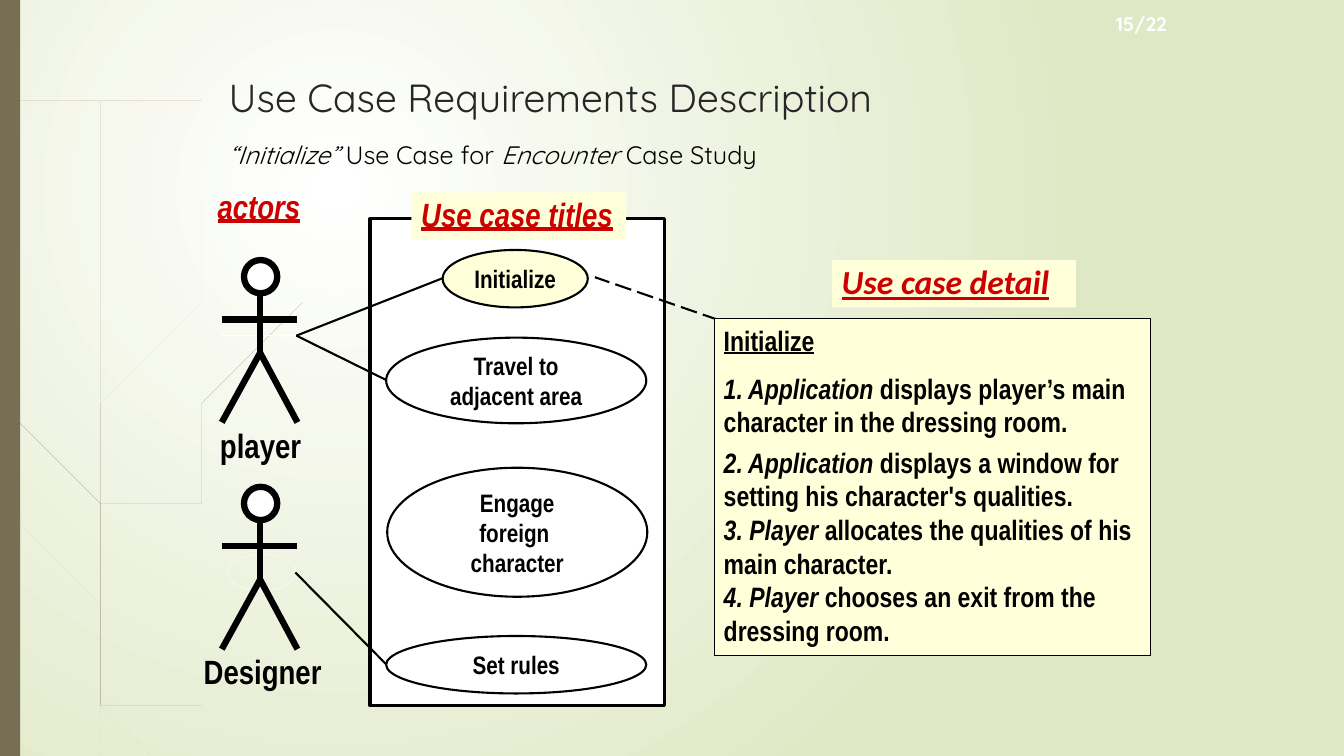
from dataclasses import dataclass
from math import hypot
from typing import NamedTuple

from lxml.etree import SubElement
from pptx import Presentation
from pptx.dml.color import RGBColor
from pptx.enum.dml import MSO_LINE
from pptx.enum.shapes import MSO_CONNECTOR, MSO_SHAPE
from pptx.enum.text import MSO_ANCHOR, MSO_AUTO_SIZE, PP_ALIGN
from pptx.oxml.ns import qn
from pptx.util import Inches, Pt

Point = tuple[float, float]


@dataclass(frozen=True)
class Theme:
    white: str = "FFFFFF"
    black: str = "000000"
    meadow: str = "DFE8C4"
    olive: str = "766F54"
    rust: str = "A53010"
    cream: str = "FFFFD9"
    red: str = "CC0000"
    charcoal: str = "262626"
    display: str = "Quicksand"
    narrow: str = "Arial Narrow"
    rounded: str = "Calibri"
    title: int = 28
    heading: int = 24
    detail: int = 20
    body: int = 18
    number: int = 14


THEME = Theme()


class Run(NamedTuple):
    text: str
    italic: bool = False


class Box(NamedTuple):
    left: float
    top: float
    width: float
    height: float


@dataclass(frozen=True)
class Style:
    size: int = THEME.body
    font: str = THEME.narrow
    color: str = THEME.black
    bold: bool = True
    italic: bool | None = None
    underline: bool | None = None
    align: PP_ALIGN = PP_ALIGN.LEFT
    spacing: float | None = None


@dataclass(frozen=True)
class UseCase:
    box: Box
    lines: tuple[str, ...]
    fill: str = THEME.white
    inset: float = 0
    wrap: bool = True


@dataclass(frozen=True)
class Heading:
    text: str
    box: Box
    font: str = THEME.narrow
    fill: str | None = THEME.cream
    insets: tuple[float, float, float, float] = (0.1, 0.25, 0.1, 0.05)


CENTERED = Style(align=PP_ALIGN.CENTER)
ACTOR_NAME = Style(THEME.heading, align=PP_ALIGN.CENTER)

PALE_WISPS: list[list[Point]] = [
    [(0.58, 5.22), (0.84, 5.99), (0.85, 5.86), (0.62, 5.2), (0.14, 3.45), (0.17, 3.76)],
    [(0.92, 6.07), (0.88, 5.96), (0.88, 6.1), (1.23, 6.94), (1.5, 7.51), (1.55, 7.51), (1.27, 6.92)],
    [(0.93, 6.83), (0.7, 6.19), (0.31, 4.69), (0, 2.82), (0, 2.99), (0.28, 4.7),
     (0.65, 6.21), (0.92, 6.93), (1.14, 7.51), (1.24, 7.51)],
    [(0.88, 5.84), (1.1, 4.62), (1.6, 3.49), (2.29, 2.45), (3.12, 1.54), (3.12, 1.53),
     (2.28, 2.44), (1.58, 3.48), (1.07, 4.61), (0.85, 5.84), (0.87, 6.46), (0.96, 6.92),
     (1.05, 7.11), (0.91, 6.46)],
]
DARK_WISPS: list[list[Point]] = [
    [(0.07, 1.1), (0.17, 2.33), (0.33, 3.55), (0.57, 4.81), (0.55, 4.53),
     (0.36, 3.55), (0.19, 2.32), (0.08, 1.09), (0.04, 0), (0.03, 0)],
    [(0.88, 5.92), (1.06, 6.45), (1.06, 6.31), (0.93, 5.9), (0.6, 4.72), (0.64, 5.05)],
    [(1.13, 6.49), (1.06, 6.31), (1.11, 6.56), (1.32, 7.08), (1.52, 7.49), (1.57, 7.49), (1.36, 7.06)],
    [(1.1, 6.91), (0.98, 6.57), (0.72, 5.56), (0.55, 4.49), (0.68, 5.57),
     (0.93, 6.59), (1.11, 7.08), (1.27, 7.49), (1.36, 7.49)],
    [(0.6, 4.72), (0.54, 3.49), (0.58, 2.45), (0.7, 1.41), (0.56, 2.45), (0.52, 3.49), (0.55, 4.49)],
    [(1.11, 6.33), (1.25, 5.52), (1.58, 4.76), (2.05, 4.06), (2.61, 3.44), (2.6, 3.44),
     (2.04, 4.05), (1.56, 4.74), (1.22, 5.51), (1.06, 6.31), (1.1, 6.91), (1.22, 7.19), (1.11, 6.56)],
]
RIBBON: list[Point] = [(0, 0.78), (1.46, 0.78), (1.48, 0.79), (1.73, 1.04), (1.74, 1.06),
                       (1.73, 1.08), (1.48, 1.33), (1.46, 1.34), (0, 1.33)]


def smooth(corners: list[Point], steps: int = 2) -> list[Point]:
    def handle(index: int, chord: Point) -> Point:
        (ax, ay), (bx, by), (cx, cy) = (corners[(index + k) % len(corners)] for k in (-1, 0, 1))
        turn = (bx - ax) * (cx - bx) + (by - ay) * (cy - by)
        span = hypot(cx - ax, cy - ay)
        if span == 0 or turn < 0.5 * hypot(bx - ax, by - ay) * hypot(cx - bx, cy - by):
            return chord[0] / 3, chord[1] / 3
        reach = hypot(*chord) / 3 / span
        return (cx - ax) * reach, (cy - ay) * reach

    outline: list[Point] = []
    for index, start in enumerate(corners):
        end = corners[(index + 1) % len(corners)]
        chord = (end[0] - start[0], end[1] - start[1])
        leave, arrive = handle(index, chord), handle(index + 1, chord)
        for t in (step / steps for step in range(steps)):
            u = 1 - t
            outline.append(tuple(
                u**3 * a + 3 * u * u * t * (a + out) + 3 * u * t * t * (b - back) + t**3 * b
                for a, b, out, back in zip(start, end, leave, arrive)))
    return outline


def paint(shape, fill: str | None, line: str | None = None, weight: float = 0) -> None:
    shape.shadow.inherit = False
    if fill:
        shape.fill.solid()
        shape.fill.fore_color.rgb = RGBColor.from_string(fill)
    else:
        shape.fill.background()
    if line:
        shape.line.color.rgb = RGBColor.from_string(line)
        shape.line.width = Pt(weight)
    else:
        shape.line.fill.background()


def add_outline(shapes, points: list[Point], color: str, opacity: int = 100) -> None:
    builder = shapes.build_freeform(*points[0], scale=Inches(1))
    builder.add_line_segments(points[1:])
    outline = builder.convert_to_shape()
    paint(outline, color)
    if opacity < 100:
        tint = outline._element.spPr.find(f".//{qn('a:srgbClr')}")
        SubElement(tint, qn("a:alpha"), val=str(opacity * 1000))


def add_shape(shapes, kind: MSO_SHAPE, box: Box, fill: str | None, line: str | None = None, weight: float = 0):
    shape = shapes.add_shape(kind, *map(Inches, box))
    paint(shape, fill, line, weight)
    return shape


def add_line(shapes, start: Point, end: Point, weight: float = 1.5, color: str = THEME.black):
    line = shapes.add_connector(MSO_CONNECTOR.STRAIGHT, *map(Inches, (*start, *end)))
    line.line.color.rgb = RGBColor.from_string(color)
    line.line.width = Pt(weight)
    SubElement(line._element.spPr, qn("a:effectLst"))
    return line


def write(shape, paragraphs: list[list[Run]], style: Style, wrap: bool = True,
          insets: tuple[float, float, float, float] = (0.1, 0.05, 0.1, 0.05),
          anchor: MSO_ANCHOR = MSO_ANCHOR.TOP):
    frame = shape.text_frame
    frame.word_wrap, frame.auto_size, frame.vertical_anchor = wrap, MSO_AUTO_SIZE.SHAPE_TO_FIT_TEXT, anchor
    frame.margin_left, frame.margin_top, frame.margin_right, frame.margin_bottom = map(Inches, insets)
    for index, runs in enumerate(paragraphs):
        paragraph = frame.add_paragraph() if index else frame.paragraphs[0]
        paragraph.alignment, paragraph.line_spacing = style.align, style.spacing
        font = paragraph.font
        font.size, font.name, font.bold = Pt(style.size), style.font, style.bold
        font.italic, font.underline = style.italic, style.underline
        font.color.rgb = RGBColor.from_string(style.color)
        for text, italic in runs:
            run = paragraph.add_run()
            run.text = text
            if italic:
                run.font.italic = True
    return frame


def add_text(shapes, box: Box, runs: list[Run], style: Style, wrap: bool = True) -> None:
    write(shapes.add_textbox(*map(Inches, box)), [runs], style, wrap)


def add_use_case(shapes, case: UseCase) -> None:
    oval = add_shape(shapes, MSO_SHAPE.OVAL, case.box, case.fill, THEME.black, 1.5)
    insets = (case.inset, case.inset / 2) * 2
    write(oval, [[Run(line)] for line in case.lines], CENTERED, case.wrap, insets, MSO_ANCHOR.MIDDLE)


def add_heading(shapes, heading: Heading) -> None:
    label = add_shape(shapes, MSO_SHAPE.RECTANGLE, heading.box, heading.fill)
    style = Style(THEME.heading, heading.font, THEME.red, italic=True, underline=True, spacing=0.3)
    write(label, [[Run(heading.text)]], style, False, heading.insets)


def add_actor(shapes, name: str, top: float, name_box: Box) -> None:
    neck, arms, hip, feet = (top + drop for drop in (0.25, 0.59, 0.92, 1.61))
    for start, end in (((2.58, neck), (2.58, hip)), ((2.58, hip), (2.2, feet)),
                       ((2.58, hip), (2.95, feet)), ((2.95, arms), (2.2, arms))):
        add_line(shapes, start, end, 4.5)
    add_shape(shapes, MSO_SHAPE.OVAL, Box(2.42, top, 0.33, 0.33), THEME.white, THEME.black, 4.5)
    add_text(shapes, name_box, [Run(name)], ACTOR_NAME)


def add_backdrop(slide) -> None:
    fill = slide.background.fill
    fill.gradient()
    for stop, color, position in zip(fill.gradient_stops, (THEME.white, THEME.meadow), (0, 1)):
        stop.color.rgb, stop.position = RGBColor.from_string(color), position
    gradient = slide.element.find(f".//{qn('a:gradFill')}")
    gradient.remove(gradient.find(qn("a:lin")))
    circle = SubElement(gradient, qn("a:path"), path="circle")
    SubElement(circle, qn("a:fillToRect"), l="50000", t="50000", r="100000", b="100000")
    for wisps, opacity in ((PALE_WISPS, 20), (DARK_WISPS, 100)):
        for wisp in wisps:
            add_outline(slide.shapes, smooth(wisp), THEME.olive, opacity)
    add_shape(slide.shapes, MSO_SHAPE.RECTANGLE, Box(0, 0, 0.2, 7.5), THEME.olive)
    add_outline(slide.shapes, RIBBON, THEME.rust)


def add_detail(shapes) -> None:
    steps = [
        [Run("Initialize")],
        [Run("1. Application", True), Run(" displays player’s main character in the dressing room.")],
        [Run("2. Application", True), Run(" displays a window for setting his character's qualities.")],
        [Run("3. Player", True), Run(" allocates the qualities of his main character.")],
        [Run("4. Player", True), Run(" chooses an exit from the dressing room.")],
    ]
    card = add_shape(shapes, MSO_SHAPE.RECTANGLE, Box(7.08, 3.16, 4.33, 3.34), THEME.cream, THEME.black, 0.25)
    frame = write(card, steps, Style(THEME.detail))
    frame.paragraphs[0].font.underline = True
    for paragraph in frame.paragraphs[:2]:
        paragraph.space_before = paragraph.space_after = Pt(5)


def main() -> None:
    deck = Presentation()
    deck.slide_width, deck.slide_height = Inches(13.33), Inches(7.5)
    slide = deck.slides.add_slide(deck.slide_layouts[6])
    shapes = slide.shapes
    add_backdrop(slide)
    add_text(shapes, Box(10.87, 0.07, 0.8, 0.35), [Run("15/22")],
             Style(THEME.number, THEME.display, THEME.white, align=PP_ALIGN.RIGHT))
    add_text(shapes, Box(2.17, 0.68, 7.08, 0.57), [Run("Use Case Requirements Description")],
             Style(THEME.title, THEME.display, THEME.charcoal, False), False)
    add_shape(shapes, MSO_SHAPE.RECTANGLE, Box(3.67, 2.17, 2.92, 4.83), THEME.white, THEME.black, 2.25)
    add_line(shapes, (2.94, 3.33), (2.19, 3.33), 0.25, THEME.white)
    add_actor(shapes, "player", 2.58, Box(2, 4.17, 1.17, 0.5))
    add_line(shapes, (9.08, 3.85), (5.9, 2.75)).line.dash_style = MSO_LINE.LONG_DASH
    add_detail(shapes)
    for case in (
        UseCase(Box(3.84, 4.64, 2.58, 1.28), ("Engage", "foreign ", "character")),
        UseCase(Box(3.83, 6.31, 2.58, 0.57), ("Set rules",), inset=0.1),
        UseCase(Box(3.83, 3.35, 2.58, 0.85), ("Travel to", "adjacent area")),
        UseCase(Box(4.39, 2.48, 1.44, 0.57), ("Initialize",), THEME.cream, 0.1, False),
    ):
        add_use_case(shapes, case)
    for heading in (
        Heading("actors", Box(2.06, 2.03, 1.03, 0.27), fill=None, insets=(0.1, 0.05, 0.1, 0.05)),
        Heading("Use case titles", Box(4.08, 1.91, 2.13, 0.47)),
        Heading("Use case detail", Box(8.25, 2.58, 2.42, 0.47), THEME.rounded),
    ):
        add_heading(shapes, heading)
    add_shape(shapes, MSO_SHAPE.OVAL, Box(2.26, 5.5, 0.67, 0.36), None, THEME.white, 0.25)
    add_actor(shapes, "Designer", 4.83, Box(1.88, 6.41, 1.45, 0.5))
    for hand, case_side in (((2.94, 3.33), (4.39, 2.76)), ((2.94, 3.33), (3.83, 3.77)),
                            ((2.93, 5.68), (3.83, 6.59))):
        add_line(shapes, hand, case_side)
    add_text(shapes, Box(2.17, 1.33, 6.75, 0.4),
             [Run("“Initialize”", True), Run(" Use Case for "), Run("Encounter ", True), Run("Case Study")],
             Style(THEME.body, THEME.display, bold=False))
    deck.save("out.pptx")


if __name__ == "__main__":
    main()
